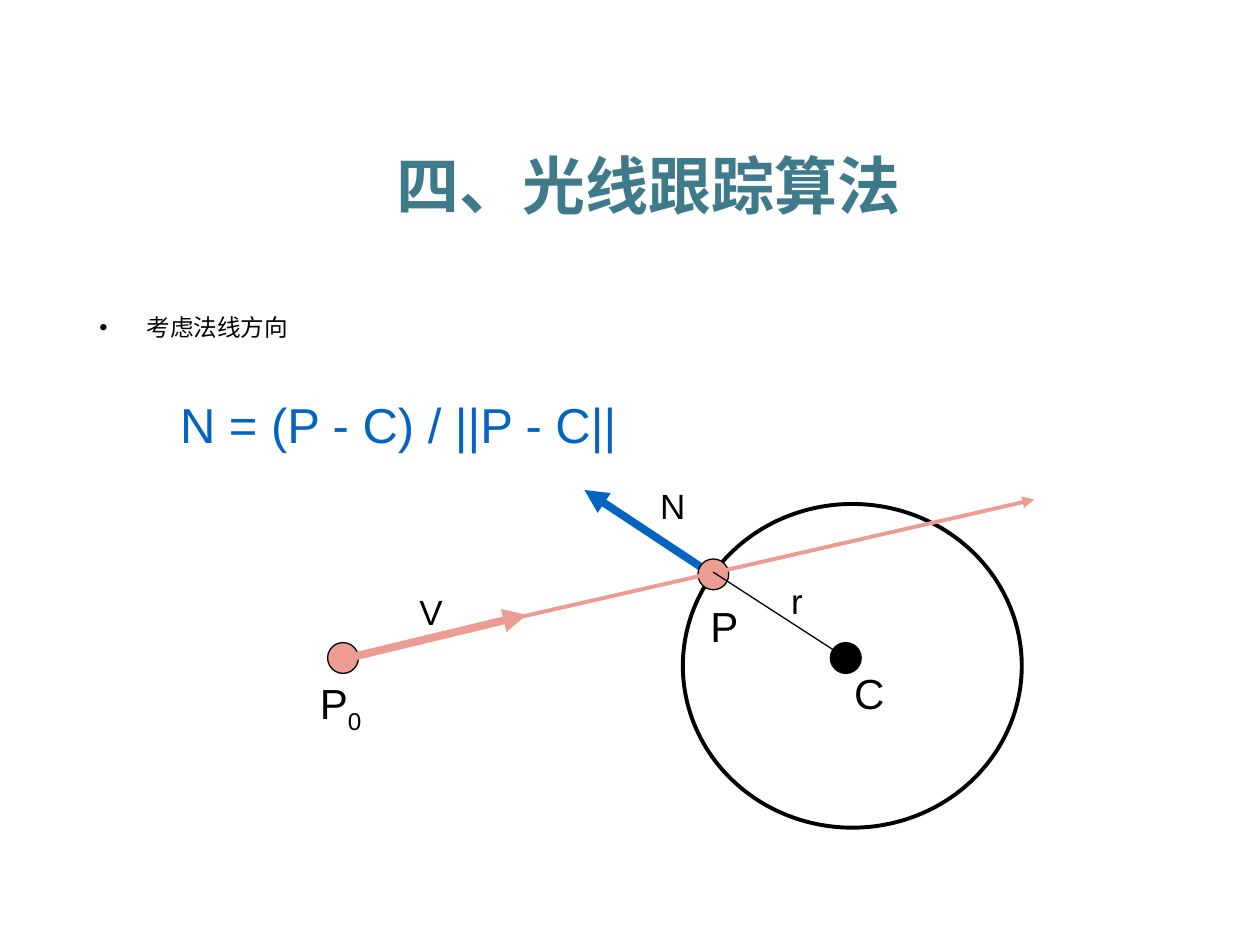
from pptx import Presentation
from pptx.dml.color import RGBColor
from pptx.enum.shapes import MSO_CONNECTOR as CONN, MSO_SHAPE as SHAPE
from pptx.enum.text import MSO_ANCHOR as ANCHOR, PP_ALIGN as ALIGN
from pptx.oxml.ns import qn
from pptx.util import Pt
from lxml import etree

BLACK, BLUE, PINK, TEAL = "000000", "0563C1", "ED9C94", "3F7A8B"
CJK = "Noto Sans CJK SC"


def rgb(color):
    return RGBColor.from_string(color)


def add_text(x, y, w, h, runs, size, color=BLACK, font="Arial", wrap=False):
    """Add a one-paragraph text box; runs are (text, baseline) pairs."""
    tb = s.shapes.add_textbox(Pt(x), Pt(y), Pt(w), Pt(h))
    tf = tb.text_frame
    tf.word_wrap = wrap
    p = tf.paragraphs[0]
    for text, baseline in runs:
        r = p.add_run()
        r.text = text
        r.font.size = Pt(size)
        r.font.name = font
        r.font.color.rgb = rgb(color)
        rPr = r.font._element
        etree.SubElement(rPr, qn("a:ea")).set("typeface", CJK)
        if baseline:
            rPr.set("baseline", str(baseline))
    return tf, p


prs = Presentation()
prs.slide_width, prs.slide_height = Pt(720), Pt(540)
s = prs.slides.add_slide(prs.slide_layouts[6])

# Sphere, points and rays, from back to front
normal = ("line", 406, 327.6, 334, 280, BLUE, 4.5, True)
sphere = ("oval", 390.2, 288, 193.7, 185, None, 2.25)
eye = ("oval", 187.2, 367.2, 17.6, 17.6, PINK, 0.75)
hit = ("oval", 398.8, 319.4, 17.6, 17.6, PINK, 0.75)
ray = ("line", 195.8, 375.8, 591, 285.5, PINK, 2.25, True)
center = ("oval", 474.5, 367.2, 17.6, 17.6, BLACK, 0.75)
view = ("line", 196.6, 376.6, 301, 351.4, PINK, 4.5, True)
radius = ("line", 407.5, 326.9, 483.1, 375.8, BLACK, 0.75, False)

for kind, a, b, c, d, color, width, *arrow in (
        normal, sphere, eye, hit, ray, center, view, radius):
    if kind == "oval":
        sp = s.shapes.add_shape(SHAPE.OVAL, Pt(a), Pt(b), Pt(c), Pt(d))
        sp.shadow.inherit = False
        if color:
            sp.fill.solid()
            sp.fill.fore_color.rgb = rgb(color)
        else:
            sp.fill.background()
        sp.line.color.rgb = rgb(BLACK)
        sp.line.width = Pt(width)
    else:
        cn = s.shapes.add_connector(CONN.STRAIGHT, Pt(a), Pt(b), Pt(c), Pt(d))
        cn.line.color.rgb = rgb(color)
        cn.line.width = Pt(width)
        if arrow[0]:
            ln = cn.line._get_or_add_ln()
            etree.SubElement(ln, qn("a:tailEnd")).set("type", "triangle")
        etree.SubElement(cn._element.spPr, qn("a:effectLst"))

# Labels
for x, y, w, h, size, *runs in (
        (175.7, 383.8, 39.6, 36, 24, ("P", 0), ("0", -25000)),
        (232.6, 334.1, 28, 31.7, 20, ("V", 0)),
        (481, 378, 32.4, 36, 24, ("C", 0)),
        (398.9, 339.8, 31, 36, 24, ("P", 0)),
        (445, 327.6, 20.9, 31.7, 20, ("r", 0)),
        (370.1, 273.6, 29.5, 31.7, 20, ("N", 0))):
    add_text(x, y, w, h, runs, size)

# Formula
add_text(95.8, 221.8, 302.4, 41, [("N = (P - C) / ||P - C||", 0)], 28, BLUE,
         wrap=True)

# Bullet
tf, p = add_text(49.7, 172, 620.6, 257, [("考虑法线方向", 0)], 13.5, wrap=True)
p.line_spacing = 1.2
pPr = p._p.get_or_add_pPr()
pPr.set("marL", str(Pt(27)))
pPr.set("indent", str(-Pt(27)))
etree.SubElement(pPr, qn("a:buFont")).set("typeface", "Arial")
etree.SubElement(pPr, qn("a:buChar")).set("char", "•")

# Title
tf, p = add_text(131, 74.9, 478.8, 52.6, [("四、光线跟踪算法", 0)], 36, TEAL, CJK,
                 wrap=True)
tf.vertical_anchor = ANCHOR.MIDDLE
p.alignment = ALIGN.CENTER
p.line_spacing = 1.2
p.runs[0].font.bold = True

prs.save("out.pptx")
